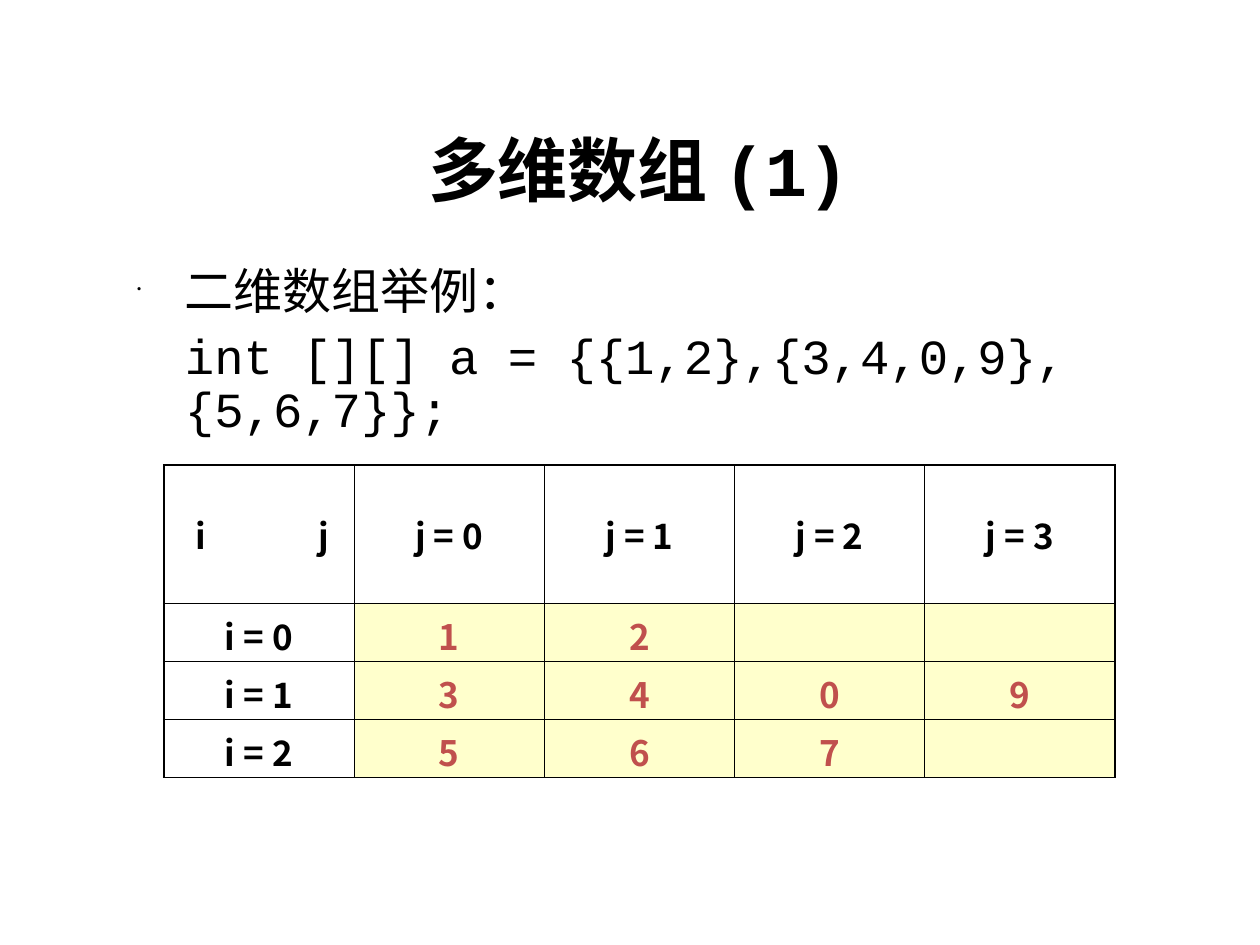
from lxml import etree
from pptx import Presentation
from pptx import util as u
from pptx.dml.color import RGBColor
from pptx.enum import text
from pptx.oxml.ns import qn

COLORS = {"ink": "000000", "value": "C0504D", "cell": "FFFFCC"}
CODE_FONT = "Courier New"
CJK_FONT = "Noto Sans CJK SC"
COLUMN_WIDTH = 1.51
ROW_HEIGHTS = [1.1, 0.46, 0.46, 0.46]
ARRAY = [[1, 2], [3, 4, 0, 9], [5, 6, 7]]
COLUMN_COUNT = max(len(values) for values in ARRAY)


class ArraySlide:
    def __init__(self, presentation):
        self.slide = presentation.slides.add_slide(presentation.slide_layouts[6])

    def add_run(self, paragraph, content, size, font=CODE_FONT, bold=False, color="ink"):
        run = paragraph.add_run()
        run.text = content
        run.font.size = u.Pt(size)
        run.font.bold = bold
        run.font.color.rgb = RGBColor.from_string(COLORS[color])
        run.font.name = font
        etree.SubElement(run._r.get_or_add_rPr(), qn("a:ea"), typeface=CJK_FONT)

    def add_text_frame(self, left, top, width, height):
        box = self.slide.shapes.add_textbox(*map(u.Inches, (left, top, width, height)))
        box.text_frame.word_wrap = True
        return box.text_frame

    def add_title(self, content):
        frame = self.add_text_frame(0.81, 0.73, 8.52, 1.21)
        frame.vertical_anchor = text.MSO_ANCHOR.MIDDLE
        paragraph = frame.paragraphs[0]
        paragraph.alignment = text.PP_ALIGN.CENTER
        self.add_run(paragraph, content, 40, bold=True)

    def add_body(self, heading, code):
        frame = self.add_text_frame(0.99, 2.07, 8.26, 1.11)
        for paragraph, content in ((frame.paragraphs[0], heading), (frame.add_paragraph(), code)):
            paragraph.line_spacing = 0.9
            paragraph.space_before = u.Pt(7)
            paragraph._p.get_or_add_pPr().set("marL", str(u.Inches(0.38)))
            self.add_run(paragraph, content, 28)
        self.add_bullet(frame.paragraphs[0])

    def add_bullet(self, paragraph):
        properties = paragraph._p.get_or_add_pPr()
        properties.set("indent", str(-u.Inches(0.38)))
        color = etree.SubElement(properties, qn("a:buClr"))
        etree.SubElement(color, qn("a:srgbClr"), val=COLORS["ink"])
        etree.SubElement(properties, qn("a:buSzPct"), val="25000")
        etree.SubElement(properties, qn("a:buChar"), char="•")

    def add_borders(self, cell, outer_sides):
        properties = cell._tc.get_or_add_tcPr()
        for side in "LRTB":
            width = 1.08 if side in outer_sides else 0.45
            line = etree.SubElement(properties, qn("a:ln" + side), w=str(u.Pt(width)))
            fill = etree.SubElement(line, qn("a:solidFill"))
            etree.SubElement(fill, qn("a:srgbClr"), val=COLORS["ink"])

    def add_corner_tab(self, cell):
        cell.margin_left = u.Inches(0.25)
        paragraph = cell.text_frame.paragraphs[0]
        paragraph.alignment = text.PP_ALIGN.LEFT
        tabs = etree.SubElement(paragraph._p.get_or_add_pPr(), qn("a:tabLst"))
        etree.SubElement(tabs, qn("a:tab"), pos=str(u.Inches(1.06)), algn="r")

    def add_array_table(self, rows):
        row_count, column_count = len(rows), len(rows[0])
        table = self.slide.shapes.add_table(
            row_count, column_count, u.Inches(1.3), u.Inches(3.69),
            u.Inches(COLUMN_WIDTH * column_count), u.Inches(sum(ROW_HEIGHTS))).table
        table.first_row = table.horz_banding = False
        for column in table.columns:
            column.width = u.Inches(COLUMN_WIDTH)
        for row, height in zip(table.rows, ROW_HEIGHTS):
            row.height = u.Inches(height)
        for i, contents in enumerate(rows):
            for j, content in enumerate(contents):
                edges = {"L": j == 0, "R": j == column_count - 1,
                         "T": i == 0, "B": i == row_count - 1}
                outer_sides = [side for side, is_outer in edges.items() if is_outer]
                self.fill_cell(table.cell(i, j), content, i > 0 and j > 0, outer_sides)
        self.add_corner_tab(table.cell(0, 0))

    def fill_cell(self, cell, content, is_value, outer_sides):
        self.add_borders(cell, outer_sides)
        cell.vertical_anchor = text.MSO_ANCHOR.MIDDLE
        if is_value:
            cell.fill.solid()
            cell.fill.fore_color.rgb = RGBColor.from_string(COLORS["cell"])
        else:
            cell.fill.background()
        if content:
            paragraph = cell.text_frame.paragraphs[0]
            paragraph.alignment = text.PP_ALIGN.CENTER
            paragraph.space_before = u.Pt(5)
            self.add_run(paragraph, content, 20, CJK_FONT, True, "value" if is_value else "ink")


def main():
    presentation = Presentation()
    presentation.slide_width = u.Inches(10)
    presentation.slide_height = u.Inches(7.5)
    array_slide = ArraySlide(presentation)
    array_slide.add_title("多维数组 (1)")
    array_slide.add_body("二维数组举例：", "int [][] a = {{1,2},{3,4,0,9},{5,6,7}};")
    rows = [["i\tj"] + [f"j = {j}" for j in range(COLUMN_COUNT)]]
    for i, values in enumerate(ARRAY):
        padding = [""] * (COLUMN_COUNT - len(values))
        rows.append([f"i = {i}"] + [str(value) for value in values] + padding)
    array_slide.add_array_table(rows)
    presentation.save("out.pptx")


if __name__ == "__main__":
    main()
